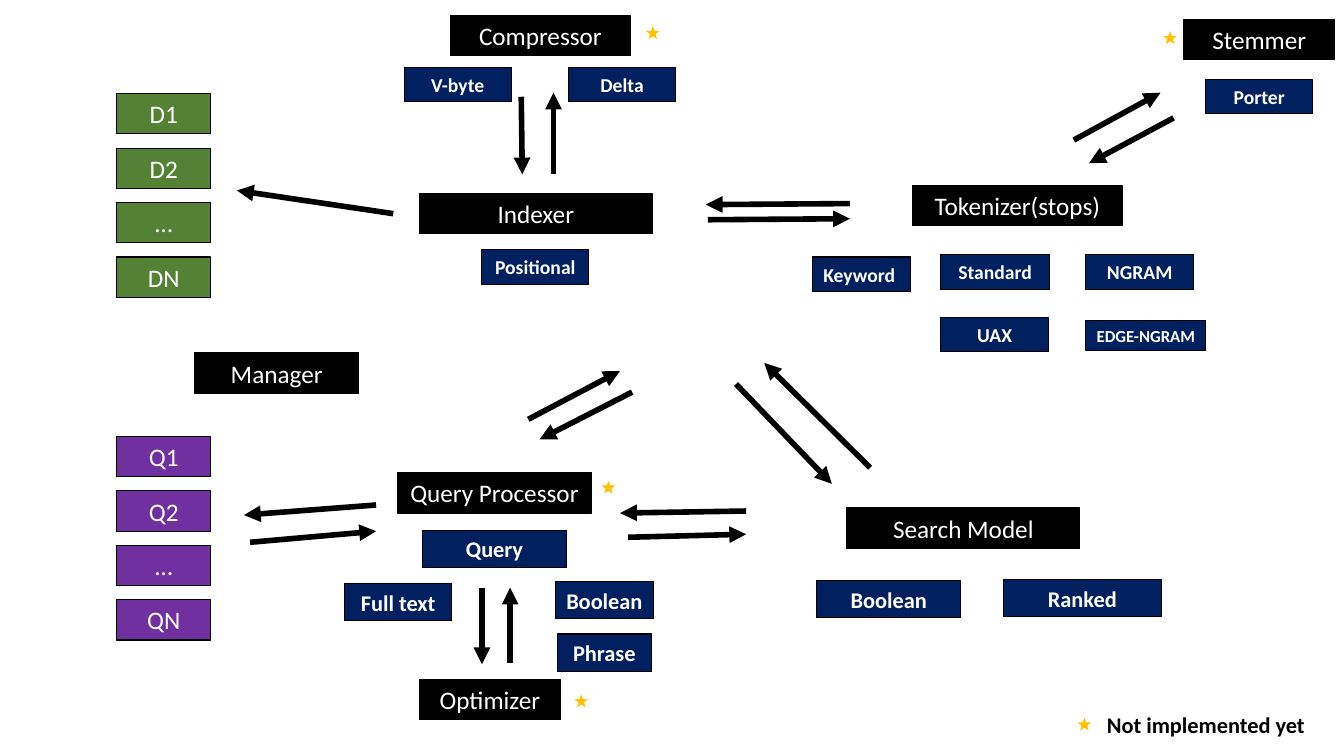
from pptx import Presentation, util as u
from pptx.dml.color import RGBColor
from pptx.enum import shapes, text
from pptx.oxml.ns import qn
from lxml import etree

BLACK, NAVY, WHITE, GOLD = "000000", "002060", "FFFFFF", "FFC000"
GREEN, PURPLE = "548235", "7030A0"
HIGH = {18: 0.4, 16: 0.37, 14: 0.34, 12: 0.3}

# name, left, top, width, star offset, tags (text, dx, dy, width, size)
UNITS = [
    ("Compressor", 4.47, 0.15, 1.78, (1.9, 0.07), [
        ("V-byte", -0.46, 0.52, 1.06, 14), ("Delta", 1.17, 0.52, 1.06, 14)]),
    ("Stemmer", 11.74, 0.19, 1.5, (-0.24, 0.08), [
        ("Porter", 0.22, 0.6, 1.06, 14)]),
    ("Indexer", 4.16, 1.92, 2.31, None, [
        ("Positional", 0.62, 0.56, 1.06, 14)]),
    ("Tokenizer(stops)", 9.05, 1.84, 2.08, None, [
        ("Keyword ", -0.99, 0.71, 0.97, 14), ("Standard", 0.28, 0.69, 1.08, 14),
        ("NGRAM", 1.72, 0.69, 1.07, 14), ("UAX", 0.28, 1.31, 1.07, 14),
        ("EDGE-NGRAM", 1.72, 1.34, 1.19, 12)]),
    ("Manager", 1.93, 3.5, 1.63, None, []),
    ("Query Processor", 3.94, 4.69, 1.93, (1.99, 0.04), [
        ("Query", 0.25, 0.57, 1.43, 16), ("Full text", -0.52, 1.1, 1.06, 16),
        ("Boolean", 1.57, 1.08, 0.97, 16), ("Phrase", 1.59, 1.6, 0.93, 16)]),
    ("Search Model", 8.4, 5.04, 2.31, None, [
        ("Boolean", -0.3, 0.72, 1.43, 16), ("Ranked", 1.55, 0.71, 1.57, 16)]),
    ("Optimizer", 4.16, 6.74, 1.4, (1.5, 0.11), []),
]

# left, top, arrows (from dx, dy, to dx, dy)
LINKS = [
    (2.35, 1.89, [(1.55, 0.23, 0, 0)]),
    (5.17, 0.92, [(0, 0.04, 0.01, 0.81), (0.32, 0.81, 0.32, 0)]),
    (7, 2.02, [(0.02, 0.16, 1.43, 0.15), (1.43, 0, 0, 0.01)]),
    (10.65, 0.92, [(0, 0.47, 0.86, 0), (0.99, 0.25, 0.15, 0.7)]),
    (5.24, 3.68, [(0, 0.48, 0.91, 0), (1.03, 0.21, 0.11, 0.68)]),
    (7.3, 3.6, [(0, 0.21, 0.95, 1.2), (1.33, 1.04, 0.28, 0)]),
    (2.42, 5.01, [(1.31, 0, 0, 0.1), (0.06, 0.37, 1.31, 0.26)]),
    (6.15, 5.07, [(1.25, 0, 0, 0.02), (0.08, 0.26, 1.25, 0.23)]),
    (4.78, 5.83, [(0, 0, 0, 0.76), (0.28, 0.75, 0.28, 0)]),
]


def paint(part, color):
    """Set a colour format or a fill from a hex string."""
    if hasattr(part, "solid"):
        part.solid()
        part = part.fore_color
    part.rgb = RGBColor.from_string(color)


def form(slide, kind, box, fill, line, width):
    """Add a filled preset shape without shadow."""
    shape = slide.shapes.add_shape(kind, *map(u.Inches, box))
    shape.shadow.inherit = False
    paint(shape.fill, fill)
    paint(shape.line.fill, line)
    shape.line.width = u.Pt(width)
    return shape


def write(shape, words, size, color, bold, align):
    """Put one line of text into a shape."""
    frame = shape.text_frame
    frame.text = words
    frame.word_wrap = False
    frame.vertical_anchor = text.MSO_ANCHOR.MIDDLE
    para = frame.paragraphs[0]
    para.alignment = align
    font = para.runs[0].font
    font.name, font.size, font.bold = "Calibri", u.Pt(size), bold
    paint(font.color, color)


def label(slide, words, left, top, width, size, fill):
    """Add a box with centred white text, bold on navy."""
    box = left, top, width, HIGH[size]
    shape = form(slide, shapes.MSO_SHAPE.RECTANGLE, box, fill, BLACK, 0.75)
    write(shape, words, size, WHITE, fill == NAVY, text.PP_ALIGN.CENTER)


def star(slide, left, top):
    """Add the star that marks a missing part."""
    form(slide, shapes.MSO_SHAPE.STAR_5_POINT, (left, top, 0.21, 0.2), GOLD, WHITE, 1.5)


def arrow(slide, start, end):
    """Add a thick black arrow."""
    ends = map(u.Inches, (*start, *end))
    line = slide.shapes.add_connector(shapes.MSO_CONNECTOR.STRAIGHT, *ends)
    paint(line.line.fill, BLACK)
    line.line.width = u.Pt(4)
    etree.SubElement(line.line._get_or_add_ln(), qn("a:tailEnd"), type="triangle")
    etree.SubElement(line._element.spPr, qn("a:effectLst"))


def stack(slide, left, top, names, fill):
    """Add a column of equal boxes."""
    for row, name in enumerate(names):
        label(slide, name, left, top + row * 0.54, 0.93, 18, fill)


def unit(slide, name, left, top, width, mark, tags):
    """Add a component with its tags and star."""
    label(slide, name, left, top, width, 18, BLACK)
    for words, dx, dy, wide, size in tags:
        label(slide, words, left + dx, top + dy, wide, size, NAVY)
    if mark:
        star(slide, left + mark[0], top + mark[1])


def link(slide, left, top, arrows):
    """Add the arrows between two components."""
    for ax, ay, bx, by in arrows:
        arrow(slide, (left + ax, top + ay), (left + bx, top + by))


def legend(slide, left, top):
    """Explain the star."""
    star(slide, left, top + 0.08)
    box = left + 0.23, top, 2.34, 0.37
    note = slide.shapes.add_textbox(*map(u.Inches, box))
    write(note, "Not implemented yet", 16, BLACK, True, text.PP_ALIGN.LEFT)


def main():
    """Build and save the slide."""
    deck = Presentation()
    deck.slide_width, deck.slide_height = u.Inches(13.33), u.Inches(7.5)
    slide = deck.slides.add_slide(deck.slide_layouts[6])
    stack(slide, 1.16, 0.93, ["D1", "D2", "…", "DN"], GREEN)
    stack(slide, 1.16, 4.33, ["Q1", "Q2", "…", "QN"], PURPLE)
    for part in UNITS:
        unit(slide, *part)
    for part in LINKS:
        link(slide, *part)
    legend(slide, 10.65, 7)
    deck.save("out.pptx")


if __name__ == "__main__":
    main()
